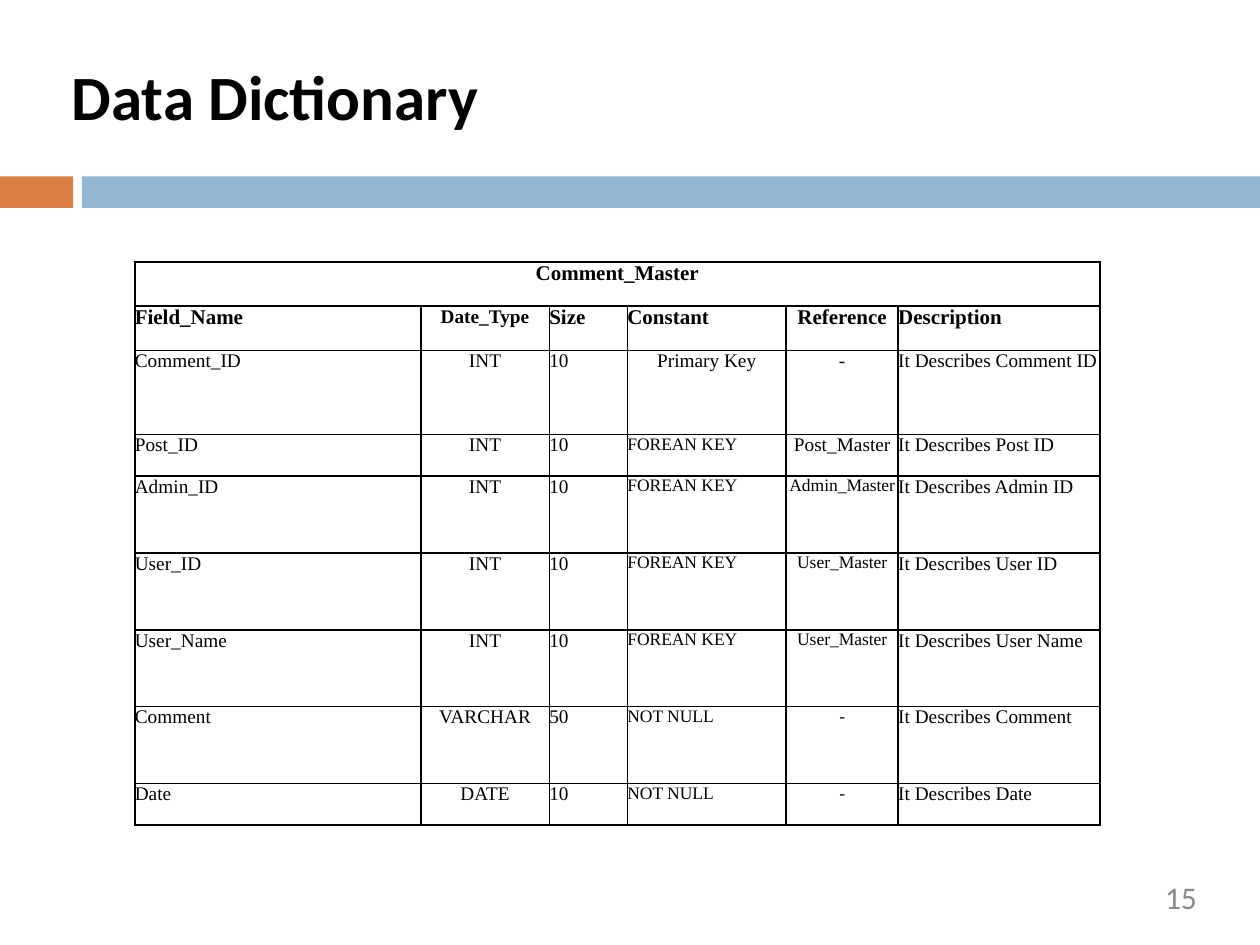
"""Build the Data Dictionary slide with its Comment_Master table."""
from lxml.etree import SubElement
from pptx import Presentation
from pptx.dml.color import RGBColor
from pptx.enum.shapes import MSO_SHAPE as SHAPE
from pptx.enum.text import MSO_ANCHOR as ANCHOR, PP_ALIGN as ALIGN
from pptx.oxml.ns import qn
from pptx.util import Inches, Pt

COLORS = {"orange": "DD8046", "blue": "93B6D2", "black": "000000", "gray": "888888"}
SERIF = "Times New Roman"
COL_WIDTHS = [2.27, 1.02, 0.62, 1.26, 0.89, 1.6]
ROW_HEIGHTS = [0.35, 0.35, 0.67, 0.33, 0.61, 0.61, 0.61, 0.61, 0.33]
CENTERED_COLS = (1, 4)
HEADERS = ["Field_Name", "Date_Type", "Size", "Constant", "Reference", "Description"]
FIELDS = [
    ["Comment_ID", "INT", "10", "Primary Key", "-", "It Describes Comment ID"],
    ["Post_ID", "INT", "10", "FOREAN KEY", "Post_Master", "It Describes Post ID"],
    ["Admin_ID", "INT", "10", "FOREAN KEY", "Admin_Master", "It Describes Admin ID"],
    ["User_ID", "INT", "10", "FOREAN KEY", "User_Master", "It Describes User ID"],
    ["User_Name", "INT", "10", "FOREAN KEY", "User_Master", "It Describes User Name"],
    ["Comment", "VARCHAR", "50", "NOT NULL", "-", "It Describes Comment"],
    ["Date", "DATE", "10", "NOT NULL", "-", "It Describes Date"],
]


def rgb(name):
    return RGBColor.from_string(COLORS[name])


def write(tf, text, size, font="Calibri", color="black", bold=False, align=ALIGN.LEFT):
    p = tf.paragraphs[0]
    p.alignment = align
    r = p.add_run()
    r.text = text
    r.font.size = Pt(size)
    r.font.name = font
    r.font.bold = bold
    r.font.color.rgb = rgb(color)


def add_bar(slide, left, width, color):
    sp = slide.shapes.add_shape(
        SHAPE.RECTANGLE, Inches(left), Inches(1.4), Inches(width), Inches(0.25))
    sp.shadow.inherit = False
    sp.fill.solid()
    sp.fill.fore_color.rgb = rgb(color)
    sp.line.fill.background()


def add_text(slide, box, text, anchor=ANCHOR.TOP, **fmt):
    tf = slide.shapes.add_textbox(*map(Inches, box)).text_frame
    tf.word_wrap = True
    tf.vertical_anchor = anchor
    tf.margin_left = tf.margin_right = tf.margin_top = tf.margin_bottom = 0
    write(tf, text, **fmt)


def style_cell(cell):
    cell.margin_left = cell.margin_right = cell.margin_top = cell.margin_bottom = 0
    tc_pr = cell._tc.get_or_add_tcPr()
    for side in ("a:lnL", "a:lnR", "a:lnT", "a:lnB"):
        ln = SubElement(tc_pr, qn(side), w=str(Pt(1)))
        fill = SubElement(ln, qn("a:solidFill"))
        SubElement(fill, qn("a:srgbClr"), val=COLORS["black"])
    cell.fill.background()


def field_size(row, col):
    if col == 3:
        return 11 if row == 0 else 10
    if col == 4:
        return 11 if row < 2 else 10
    return 11


def add_dictionary(slide):
    table = slide.shapes.add_table(
        len(ROW_HEIGHTS), len(COL_WIDTHS), Inches(1.07), Inches(2.08),
        Inches(sum(COL_WIDTHS)), Inches(sum(ROW_HEIGHTS))).table
    table.first_row = table.horz_banding = False
    for column, width in zip(table.columns, COL_WIDTHS):
        column.width = Inches(width)
    for row, height in zip(table.rows, ROW_HEIGHTS):
        row.height = Inches(height)
    for cell in table.iter_cells():
        style_cell(cell)

    caption = table.cell(0, 0)
    caption.merge(table.cell(0, len(COL_WIDTHS) - 1))
    write(caption.text_frame, "Comment_Master", 12, SERIF, bold=True, align=ALIGN.CENTER)
    for col, text in enumerate(HEADERS):
        align = ALIGN.CENTER if col in CENTERED_COLS else ALIGN.LEFT
        write(table.cell(1, col).text_frame, text, 11 if col == 1 else 12, SERIF,
              bold=True, align=align)
    for row, values in enumerate(FIELDS):
        for col, text in enumerate(values):
            centered = col in CENTERED_COLS or text == "Primary Key"
            write(table.cell(row + 2, col).text_frame, text, field_size(row, col), SERIF,
                  align=ALIGN.CENTER if centered else ALIGN.LEFT)


def main():
    prs = Presentation()
    prs.slide_width, prs.slide_height = Inches(10), Inches(7.5)
    slide = prs.slides.add_slide(prs.slide_layouts[6])
    add_bar(slide, 0, 0.58, "orange")
    add_bar(slide, 0.65, 9.35, "blue")
    add_text(slide, (0.57, 0.41, 8.87, 0.69), "Data Dictionary", ANCHOR.MIDDLE,
             size=36, bold=True)
    add_text(slide, (7.2, 6.97, 2.3, 0.38), "15", size=18, color="gray", align=ALIGN.RIGHT)
    add_dictionary(slide)
    prs.save("out.pptx")


if __name__ == "__main__":
    main()
